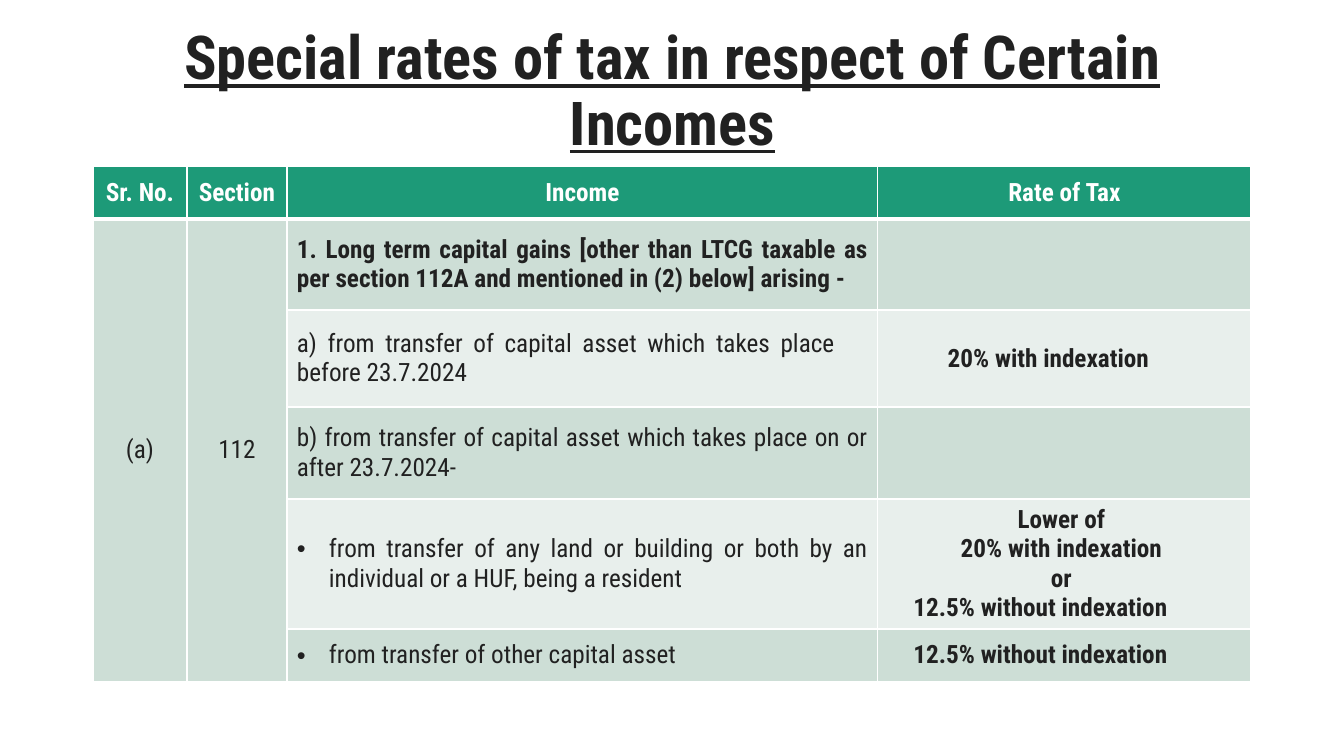
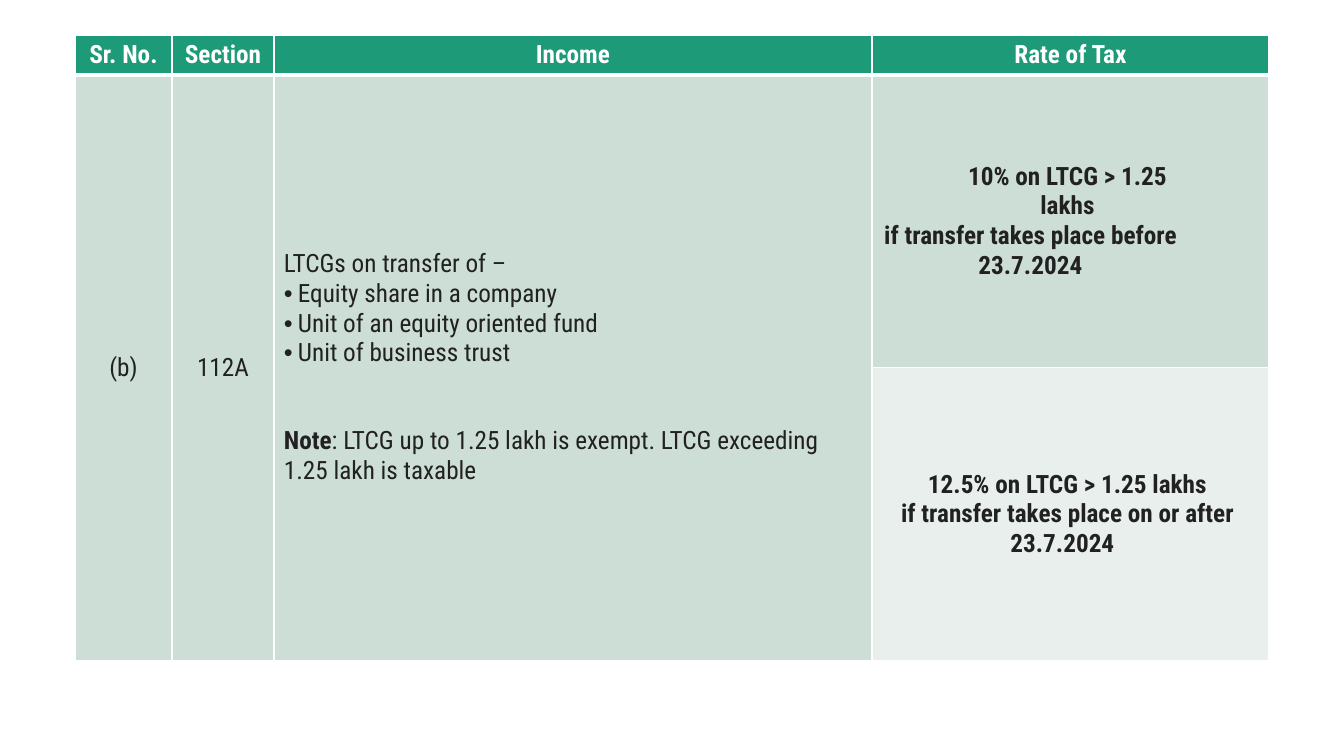
from dataclasses import dataclass

from lxml import etree
from pptx import Presentation
from pptx.dml.color import RGBColor
from pptx.enum.text import MSO_ANCHOR, MSO_AUTO_SIZE, PP_ALIGN
from pptx.oxml.ns import qn
from pptx.util import Pt

LEFT, CENTER, JUSTIFY = PP_ALIGN.LEFT, PP_ALIGN.CENTER, PP_ALIGN.JUSTIFY
MIDDLE = MSO_ANCHOR.MIDDLE
NO_AUTOFIT = MSO_AUTO_SIZE.NONE

GREEN = RGBColor(0x1D, 0x9A, 0x78)
BAND_DARK = RGBColor(0xCD, 0xDE, 0xD6)
BAND_LIGHT = RGBColor(0xE8, 0xEF, 0xEC)
WHITE = RGBColor(0xFF, 0xFF, 0xFF)
INK = RGBColor(0x21, 0x21, 0x21)

FONT = "Roboto Condensed"
TEXT_SIZE = 18
TITLE_SIZE = 43.2
CELL_MARGIN = 10
SLIDE_WIDTH, SLIDE_HEIGHT = 1344, 756
TITLE_ONLY, BLANK = 5, 6


@dataclass
class Line:
    text: str
    align: int = LEFT
    bold: bool = False
    shift: int = 0
    hanging: int = 0
    lead: str = ""
    space_before: int = 0
    right_gap: int = 0


def rate(text, shift):
    return Line(text, CENTER, bold=True, shift=shift)


HEADERS = ["Sr. No.", "Section", "Income", "Rate of Tax"]

TABLES = [
    {
        "title": "Special rates of tax in respect of Certain Incomes",
        "title_box": (93, 20, 1159, 146),
        "left": 93,
        "top": 166,
        "columns": [94, 100, 591, 373],
        "rows": [53, 91, 97, 92, 130, 53],
        "merged_columns": [0, 1],
        "cells": {
            (1, 0): [Line("(a)", CENTER)],
            (1, 1): [Line("112", CENTER)],
            (1, 2): [Line(
                "1. Long term capital gains [other than LTCG taxable as per section 112A "
                "and mentioned in (2) below] arising -", JUSTIFY, bold=True)],
            (2, 2): [Line(
                "a) from transfer of capital asset which takes place before 23.7.2024",
                JUSTIFY, right_gap=33)],
            (2, 3): [rate("20% with indexation", -16)],
            (3, 2): [Line(
                "b) from transfer of capital asset which takes place on or after 23.7.2024-",
                JUSTIFY)],
            (4, 2): [Line(
                "from transfer of any land or building or both by an individual or a HUF, "
                "being a resident", JUSTIFY, hanging=32)],
            (4, 3): [
                rate("Lower of", -3),
                rate("20% with indexation", -3),
                rate("or", -3),
                rate("12.5% without indexation", -24),
            ],
            (5, 2): [Line("from transfer of other capital asset", hanging=32)],
            (5, 3): [rate("12.5% without indexation", -24)],
        },
    },
    {
        "title": None,
        "left": 75,
        "top": 35,
        "columns": [97, 102, 598, 397],
        "rows": [39, 293, 293],
        "merged_columns": [0, 1, 2],
        "cells": {
            (1, 0): [Line("(b)", CENTER)],
            (1, 1): [Line("112A", CENTER)],
            (1, 2): [
                Line("LTCGs on transfer of –"),
                Line("Equity share in a company", hanging=14),
                Line("Unit of an equity oriented fund", hanging=14),
                Line("Unit of business trust", hanging=14),
                Line(": LTCG up to 1.25 lakh is exempt. LTCG exceeding 1.25 lakh is taxable",
                     lead="Note", space_before=42),
            ],
            (1, 3): [
                rate("10% on LTCG > 1.25 lakhs", -3),
                rate("if transfer takes place before 23.7.2024", -40),
            ],
            (2, 3): [
                rate("12.5% on LTCG > 1.25 lakhs", -3),
                rate("if transfer takes place on or after", -3),
                rate("23.7.2024", -8),
            ],
        },
    },
]


def px(length):
    return round(length * 914400 / 100.8)


def set_font(font, size, color, bold):
    font.name = FONT
    font.size = Pt(size)
    font.color.rgb = color
    font.bold = bold


def set_borders(cell, row):
    properties = cell._tc.get_or_add_tcPr()
    widths = {"lnL": 1, "lnR": 1, "lnT": 3 if row == 1 else 1, "lnB": 3 if row == 0 else 1}
    for position, (side, width) in enumerate(widths.items()):
        border = etree.Element(qn(f"a:{side}"), w=str(Pt(width)))
        fill = etree.SubElement(border, qn("a:solidFill"))
        etree.SubElement(fill, qn("a:srgbClr"), val=str(WHITE))
        properties.insert(position, border)


def add_line(paragraph, line, left_margin, color):
    properties = paragraph._p.get_or_add_pPr()
    if line.hanging:
        properties.set("marL", str(px(line.hanging)))
        properties.set("indent", str(-px(line.hanging)))
        etree.SubElement(properties, qn("a:buFont"), typeface="Arial")
        etree.SubElement(properties, qn("a:buChar"), char="•")
    elif left_margin:
        properties.set("marL", str(px(left_margin)))
    paragraph.alignment = line.align
    if line.space_before:
        paragraph.space_before = Pt(line.space_before)
    set_font(paragraph.font, TEXT_SIZE, color, line.bold)
    if line.lead:
        lead = paragraph.add_run()
        lead.text = line.lead
        lead.font.bold = True
    paragraph.add_run().text = line.text


def fill_cell(cell, lines, color):
    lowest_shift = min(0, *(line.shift for line in lines), 0)
    right_gap = max(line.right_gap for line in lines)
    cell.margin_left = px(CELL_MARGIN)
    cell.margin_right = px(CELL_MARGIN - 2 * lowest_shift + right_gap)
    for index, line in enumerate(lines):
        frame = cell.text_frame
        paragraph = frame.add_paragraph() if index else frame.paragraphs[0]
        add_line(paragraph, line, 2 * (line.shift - lowest_shift), color)


def add_title(slide, text, box):
    title = slide.shapes.title
    title.left, title.top, title.width, title.height = map(px, box)
    frame = title.text_frame
    frame.text = text
    frame.word_wrap = True
    frame.auto_size = NO_AUTOFIT
    frame.vertical_anchor = MIDDLE
    paragraph = frame.paragraphs[0]
    paragraph.alignment = CENTER
    paragraph.line_spacing = 0.9
    set_font(paragraph.font, TITLE_SIZE, INK, True)
    paragraph.font.underline = True


def add_rate_table(slide, content):
    columns, rows = content["columns"], content["rows"]
    table = slide.shapes.add_table(
        len(rows), len(columns), px(content["left"]), px(content["top"]),
        px(sum(columns)), px(sum(rows))).table
    table.horz_banding = False
    for column, width in zip(table.columns, columns):
        column.width = px(width)
    for row, height in zip(table.rows, rows):
        row.height = px(height)

    cells = dict(content["cells"])
    for column, header in enumerate(HEADERS):
        cells[0, column] = [Line(header, CENTER, bold=True)]

    for row in range(len(rows)):
        for column in range(len(columns)):
            cell = table.cell(row, column)
            cell.vertical_anchor = MIDDLE
            cell.fill.solid()
            if row == 0:
                cell.fill.fore_color.rgb = GREEN
            else:
                cell.fill.fore_color.rgb = BAND_DARK if row % 2 else BAND_LIGHT
            set_borders(cell, row)
            if (row, column) in cells:
                fill_cell(cell, cells[row, column], INK if row else WHITE)

    for column in content["merged_columns"]:
        table.cell(1, column).merge(table.cell(len(rows) - 1, column))


def main():
    presentation = Presentation()
    presentation.slide_width = px(SLIDE_WIDTH)
    presentation.slide_height = px(SLIDE_HEIGHT)
    for content in TABLES:
        layout = TITLE_ONLY if content["title"] else BLANK
        slide = presentation.slides.add_slide(presentation.slide_layouts[layout])
        if content["title"]:
            add_title(slide, content["title"], content["title_box"])
        add_rate_table(slide, content)
    presentation.save("out.pptx")


if __name__ == "__main__":
    main()
